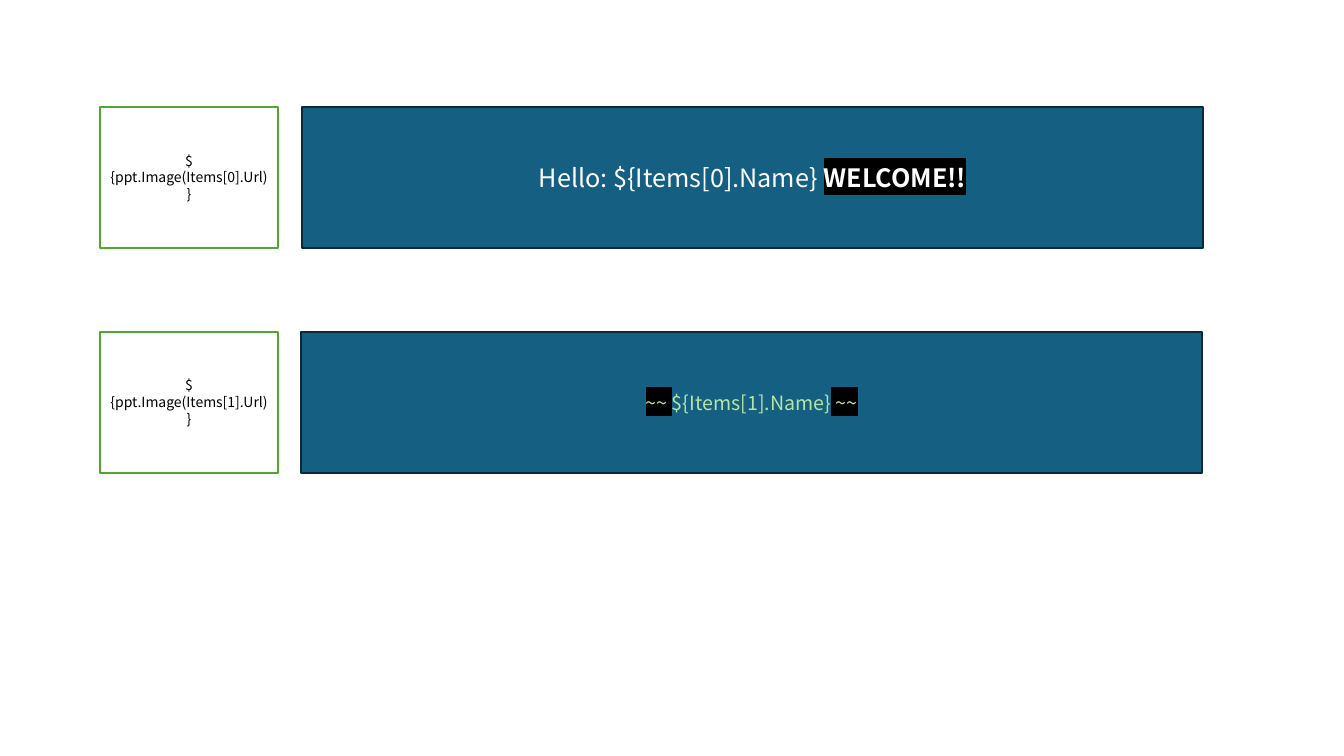
from lxml import etree
from pptx import Presentation
from pptx.dml.color import RGBColor
from pptx.enum.shapes import MSO_SHAPE
from pptx.enum.text import MSO_ANCHOR, PP_ALIGN
from pptx.oxml.ns import qn
from pptx.util import Pt

RECT = MSO_SHAPE.RECTANGLE
MIDDLE = MSO_ANCHOR.MIDDLE
CENTER = PP_ALIGN.CENTER

PX = 9144  # EMU per px, 100 px to the inch
FONT = "Noto Sans CJK KR"
BLACK = RGBColor(0x00, 0x00, 0x00)
WHITE = RGBColor(0xFF, 0xFF, 0xFF)
BLUE = RGBColor(0x15, 0x60, 0x82)
NAVY = RGBColor(0x09, 0x2A, 0x39)
GREEN = RGBColor(0x4E, 0xA7, 0x2E)
LIME = RGBColor(0xB4, 0xE5, 0xA2)


def write(para, text, size=10, color=BLACK, bold=False, mark=None):
    """Add a run to a paragraph; mark is its highlight colour."""
    run = para.add_run()
    run.text = text
    font = run.font
    font.name, font.size, font.bold = FONT, Pt(size), bold
    font.color.rgb = color
    if mark is not None:
        light = etree.Element(qn("a:highlight"))
        etree.SubElement(light, qn("a:srgbClr"), val=str(mark))
        run.font.fill  # the highlight follows the fill in the run properties
        run._r.rPr.find(qn("a:solidFill")).addnext(light)


class Board:
    def __init__(self, slide):
        self.slide = slide
        self.weight = Pt(1.5)

    def box(self, left, top, width, height, fill, line):
        """Draw a rectangle and return its centred paragraph."""
        area = [n * PX for n in (left, top, width, height)]
        shape = self.slide.shapes.add_shape(RECT, *area)
        shape.shadow.inherit = False
        shape.fill.solid()
        shape.fill.fore_color.rgb = fill
        shape.line.color.rgb = line
        shape.line.width = self.weight
        frame = shape.text_frame
        frame.word_wrap = True
        frame.vertical_anchor = MIDDLE
        para = frame.paragraphs[0]
        para.alignment = CENTER
        return para


def main():
    deck = Presentation()
    deck.slide_width, deck.slide_height = 1333 * PX, 750 * PX
    board = Board(deck.slides.add_slide(deck.slide_layouts[6]))

    # Banner wording, one list of runs per row
    hello = dict(size=18, color=WHITE)
    wave = dict(size=14, color=LIME)
    rows = [
        (300, [("Hello: ${Items[0].Name} ", hello),
               ("WELCOME!!", dict(hello, bold=True, mark=BLACK))]),
        (299, [("~~ ", dict(wave, mark=BLACK)),
               ("${Items[1].Name}", wave),
               (" ~~", dict(wave, mark=BLACK))]),
    ]

    # Each row: image field on the left, banner on the right
    for i, (left, runs) in enumerate(rows):
        top = 106 + 223 * i
        banner = board.box(left, top, 893, 140, BLUE, NAVY)
        for text, style in runs:
            write(banner, text, **style)
        field = board.box(99, top, 177, 140, WHITE, GREEN)
        write(field, f"${{ppt.Image(Items[{i}].Url)}}")

    deck.save("out.pptx")


if __name__ == "__main__":
    main()
